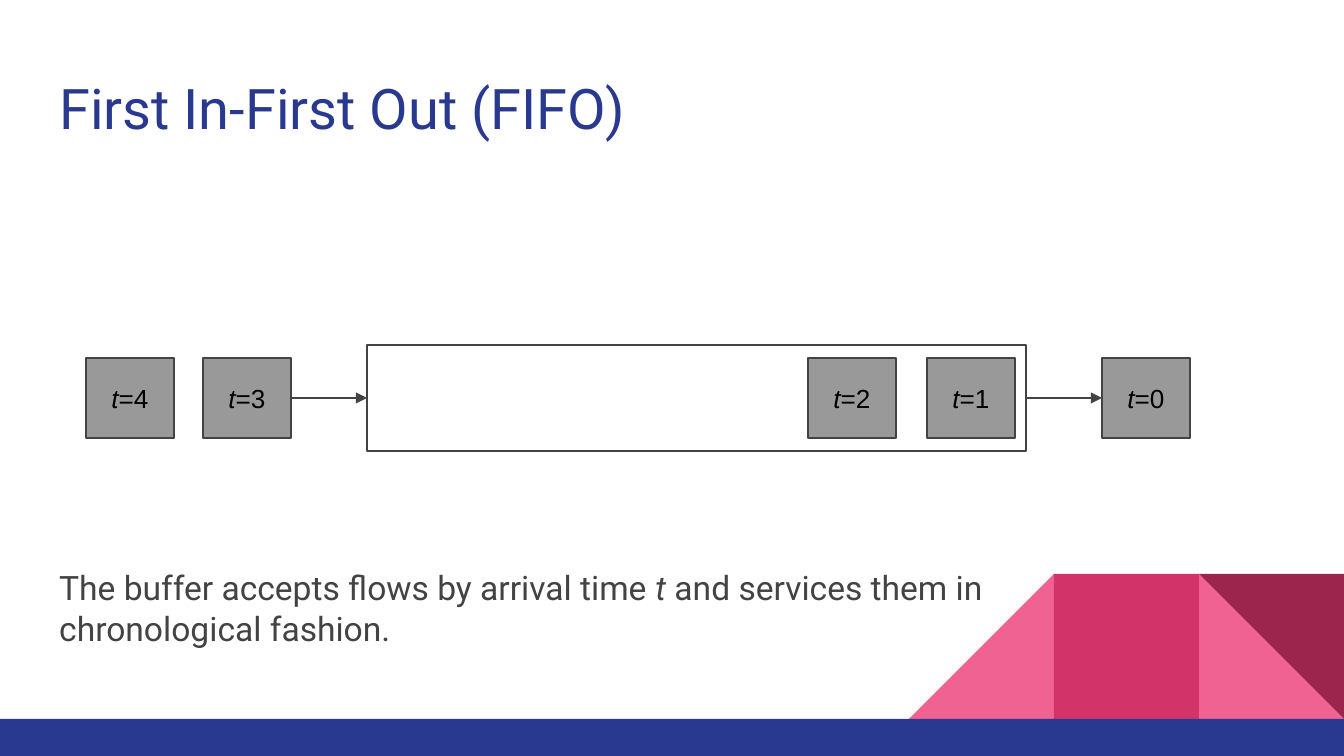
import pptx
import pptx.dml.color
import pptx.enum.shapes
import pptx.enum.text
import pptx.oxml.ns
import pptx.util
from lxml import etree

EMU_PER_PX = 9144000 / 1344
WIDTH, HEIGHT = 1344, 756
SHAPES = pptx.enum.shapes.MSO_SHAPE
NAVY, GRAY, DARK = "2A3990", "999999", "434343"
PINK, ROSE, WINE = "F06292", "D23369", "9C254D"


def px(length):
    return pptx.util.Emu(round(length * EMU_PER_PX))


def color(value):
    return pptx.dml.color.RGBColor.from_string(value)


def add_block(slide, kind, box, fill, line=None, rotation=0):
    block = slide.shapes.add_shape(kind, *map(px, box))
    block.shadow.inherit = False
    block.rotation = rotation
    block.fill.solid()
    block.fill.fore_color.rgb = color(fill)
    if line:
        block.line.color.rgb = color(line)
        block.line.width = pptx.util.Pt(0.75)
    else:
        block.line.fill.background()
    return block


def write(frame, runs, font, size, ink):
    """Fill the frame with one paragraph of (text, italic) runs."""
    frame.word_wrap = True
    frame.margin_left = frame.margin_right = pptx.util.Inches(0.1)
    frame.margin_top = frame.margin_bottom = pptx.util.Inches(0.1)
    paragraph = frame.paragraphs[0]
    paragraph.font.name = font
    paragraph.font.size = pptx.util.Pt(size)
    paragraph.font.color.rgb = color(ink)
    for text, italic in runs:
        run = paragraph.add_run()
        run.text = text
        if italic:
            run.font.italic = True
    return paragraph


def add_text(slide, box, runs, size, ink):
    frame = slide.shapes.add_textbox(*map(px, box)).text_frame
    write(frame, runs, "Roboto", size, ink)


def add_flow(slide, left, time):
    flow = add_block(slide, SHAPES.RECTANGLE, (left, 358, 88, 80), GRAY, DARK)
    flow.text_frame.vertical_anchor = pptx.enum.text.MSO_ANCHOR.MIDDLE
    label = write(flow.text_frame, [("t", True), (f"={time}", False)],
                  "Arial", 14, "000000")
    label.alignment = pptx.enum.text.PP_ALIGN.CENTER


def add_arrow(slide, start, end, y):
    arrow = slide.shapes.add_connector(
        pptx.enum.shapes.MSO_CONNECTOR.STRAIGHT, px(start), px(y), px(end), px(y))
    arrow.line.color.rgb = color(DARK)
    arrow.line.width = pptx.util.Pt(0.75)
    qn = pptx.oxml.ns.qn
    etree.SubElement(arrow.line._get_or_add_ln(), qn("a:tailEnd"), type="triangle")
    etree.SubElement(arrow._element.spPr, qn("a:effectLst"))


def add_decoration(slide):
    side, floor = 145, 719
    top = floor - side
    first, second, third = (WIDTH - side * n for n in (3, 2, 1))
    for kind, left, fill, rotation in (
        (SHAPES.RIGHT_TRIANGLE, third, PINK, 0),
        (SHAPES.RIGHT_TRIANGLE, first, PINK, 270),
        (SHAPES.RECTANGLE, second, ROSE, 0),
        (SHAPES.RIGHT_TRIANGLE, third, WINE, 180),
    ):
        add_block(slide, kind, (left, top, side, side), fill, rotation=rotation)
    add_block(slide, SHAPES.RECTANGLE, (0, floor, WIDTH, HEIGHT - floor), NAVY)


def main():
    deck = pptx.Presentation()
    deck.slide_width, deck.slide_height = px(WIDTH), px(HEIGHT)
    slide = deck.slides.add_slide(deck.slide_layouts[6])

    add_decoration(slide)

    # Title and explanation
    add_text(slide, (46, 60, 1253, 89), [("First In-First Out (FIFO)", False)],
             30, NAVY)
    add_text(slide, (46, 554, 980, 118), [
        ("The buffer accepts flows by arrival time ", False),
        ("t", True),
        (" and services them in chronological fashion.", False),
    ], 18, DARK)

    # Buffer, with flows waiting, queued and served
    add_block(slide, SHAPES.RECTANGLE, (367, 345, 659, 106), "FFFFFF", DARK)
    for time, left in enumerate((1102, 927, 808, 203, 86)):
        add_flow(slide, left, time)

    # Way in and way out
    add_arrow(slide, 291, 367, 398)
    add_arrow(slide, 1026, 1102, 398)

    deck.save("out.pptx")


if __name__ == "__main__":
    main()
